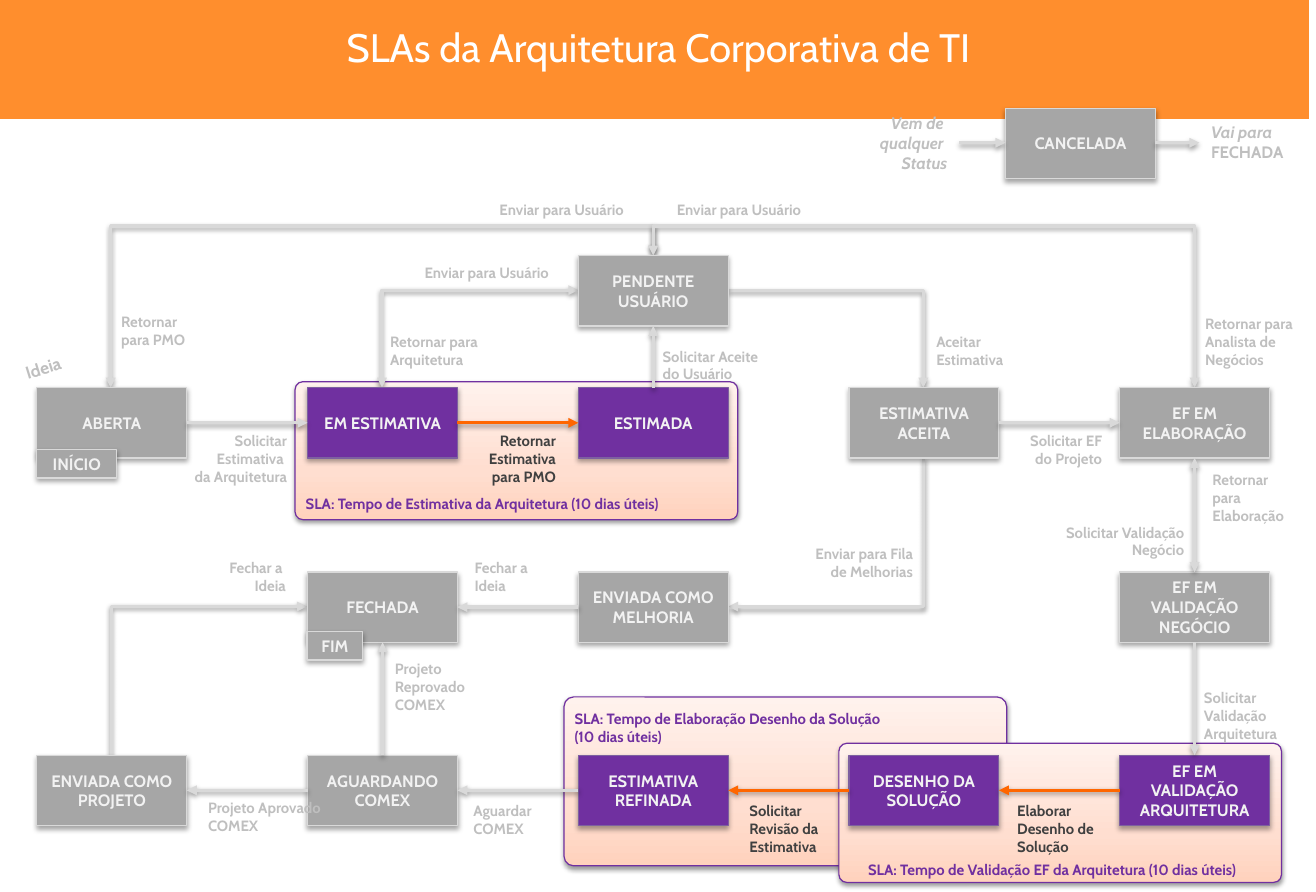
from lxml.etree import SubElement
from pptx import Presentation
from pptx.dml.color import RGBColor
from pptx.enum.shapes import MSO_CONNECTOR, MSO_SHAPE
from pptx.enum.text import MSO_ANCHOR, MSO_AUTO_SIZE, PP_ALIGN
from pptx.oxml.ns import qn
from pptx.util import Inches, Pt

COLORS = {
    "band": "FF8E2D", "white": "FFFFFF", "gray": "A6A6A6", "pale": "D9D9D9",
    "status": "F2F2F2", "label": "BFBFBF", "dark": "404040", "purple": "7030A0",
    "purple_edge": "7D60A0", "orange": "FF6600",
}
PANEL_STOPS = [(0, "FFD2BD"), (35, "FFDED0"), (100, "FFF2ED")]
ALIGNS = {"l": PP_ALIGN.LEFT, "c": PP_ALIGN.CENTER, "r": PP_ALIGN.RIGHT}
SITES = {"top": 0, "left": 1, "bottom": 2, "right": 3}
BENDS = {("up", "right"): (90, "HV"), ("up", "left"): (270, "V"), ("down", "left"): (90, "")}
BOX_WIDTH, BOX_HEIGHT = 1.26, 0.59
FIRST_COLUMN, COLUMN_STEP = 0.31, 2.275
ROWS = [2.15, 3.26, 4.81, 6.35]

STATUSES = [
    ("ABERTA", 0, 1, "gray"), ("EM ESTIMATIVA", 1, 1, "purple"),
    ("ESTIMADA", 2, 1, "purple"), ("ESTIMATIVA ACEITA", 3, 1, "gray"),
    ("EF EM ELABORAÇÃO", 4, 1, "gray"), ("PENDENTE USUÁRIO", 2, 0, "gray"),
    ("FECHADA", 1, 2, "gray"), ("ENVIADA COMO MELHORIA", 2, 2, "gray"),
    ("EF EM VALIDAÇÃO NEGÓCIO", 4, 2, "gray"), ("ENVIADA COMO PROJETO", 0, 3, "gray"),
    ("AGUARDANDO COMEX", 1, 3, "gray"), ("ESTIMATIVA REFINADA", 2, 3, "purple"),
    ("DESENHO DA SOLUÇÃO", 3, 3, "purple"), ("EF EM VALIDAÇÃO ARQUITETURA", 4, 3, "purple"),
]
LINKS = [
    ("ABERTA", "right", "EM ESTIMATIVA", "left", "pale", "tail"),
    ("EM ESTIMATIVA", "right", "ESTIMADA", "left", "orange", "tail"),
    ("ESTIMADA", "top", "PENDENTE USUÁRIO", "bottom", "pale", "tail"),
    ("ESTIMATIVA ACEITA", "right", "EF EM ELABORAÇÃO", "left", "pale", "tail"),
    ("EF EM VALIDAÇÃO NEGÓCIO", "top", "EF EM ELABORAÇÃO", "bottom", "pale", "head tail"),
    ("EF EM VALIDAÇÃO NEGÓCIO", "bottom", "EF EM VALIDAÇÃO ARQUITETURA", "top", "pale", "tail"),
    ("EF EM VALIDAÇÃO ARQUITETURA", "left", "DESENHO DA SOLUÇÃO", "right", "orange", "tail"),
    ("DESENHO DA SOLUÇÃO", "left", "ESTIMATIVA REFINADA", "right", "orange", "tail"),
    ("ESTIMATIVA REFINADA", "left", "AGUARDANDO COMEX", "right", "pale", "tail"),
    ("AGUARDANDO COMEX", "left", "ENVIADA COMO PROJETO", "right", "pale", "tail"),
    ("AGUARDANDO COMEX", "top", "FECHADA", "bottom", "pale", "tail"),
    ("ENVIADA COMO MELHORIA", "left", "FECHADA", "right", "pale", "tail"),
]
ELBOWS = [
    ((0.93, 3.26), (5.49, 2.15), "head tail", 1.224),
    ((10.04, 3.26), (5.49, 2.15), "head tail", 1.224),
    ((3.21, 3.26), (4.86, 2.44), "head tail", None),
    ((7.76, 3.26), (6.12, 2.44), "head", None),
    ((7.76, 3.85), (6.12, 5.1), "tail", None),
    ((0.94, 6.35), (2.58, 5.1), "tail", None),
]
SLAS = [
    ((4.74, 5.86, 3.72, 1.42), (4.73, 5.92, 3.68, 0.4), "l",
     "SLA: Tempo de Elaboração Desenho da Solução\n(10 dias úteis)"),
    ((7.05, 6.25, 3.72, 1.17), (7, 7.19, 3.68, 0.24), "c",
     "SLA: Tempo de Validação EF da Arquitetura (10 dias úteis)"),
    ((2.48, 3.21, 3.72, 1.16), (2.47, 4.11, 3.68, 0.24), "l",
     "SLA: Tempo de Estimativa da Arquitetura (10 dias úteis)"),
]
TRANSITIONS = [
    ("Retornar\npara PMO", (0.92, 2.58, 0.75, 0.56), "l", "label"),
    ("Retornar para\nAnalista de\nNegócios", (10.03, 2.6, 1.1, 0.56), "l", "label"),
    ("Solicitar\nEstimativa \nda Arquitetura", (1.43, 3.58, 1.08, 0.56), "r", "label"),
    ("Retornar\nEstimativa\npara PMO", (3.96, 3.58, 0.81, 0.56), "r", "dark"),
    ("Solicitar EF do Projeto", (8.42, 3.58, 0.94, 0.4), "r", "label"),
    ("Solicitar Validação\nNegócio", (8.68, 4.35, 1.37, 0.4), "r", "label"),
    ("Solicitar Validação Arquitetura", (10.02, 5.74, 0.95, 0.56), "l", "label"),
    ("Projeto Aprovado COMEX", (1.65, 6.67, 1.22, 0.56), "l", "label"),
    ("Projeto\nReprovado\nCOMEX", (3.22, 5.5, 1.02, 0.56), "l", "label"),
    ("Enviar para Fila de Melhorias", (6.7, 4.53, 1.07, 0.56), "r", "label"),
    ("Fechar a\nIdeia", (3.89, 4.65, 1.42, 0.4), "l", "label"),
    ("Retornar para\nArquitetura", (3.18, 2.75, 1.05, 0.4), "l", "label"),
    ("Solicitar Aceite\ndo Usuário", (5.47, 2.87, 1.21, 0.4), "l", "label"),
    ("Aceitar Estimativa", (7.77, 2.75, 0.85, 0.4), "l", "label"),
    ("Fechar a \nIdeia", (1.08, 4.65, 1.42, 0.4), "r", "label"),
    ("Retornar\npara\nElaboração", (10.09, 3.91, 0.88, 0.56), "l", "label"),
    ("Aguardar\nCOMEX", (3.88, 6.69, 1.02, 0.4), "l", "label"),
    ("Elaborar\nDesenho de Solução", (8.45, 6.69, 0.95, 0.56), "l", "dark"),
    ("Solicitar\nRevisão da Estimativa", (6.2, 6.69, 0.95, 0.56), "l", "dark"),
    ("Enviar para Usuário", (3.66, 1.64, 1.68, 0.25), "r", "label"),
    ("Enviar para Usuário", (5.15, 1.64, 1.68, 0.25), "r", "label"),
    ("Enviar para Usuário", (3.03, 2.17, 1.68, 0.25), "r", "label"),
]


def rgb(name):
    return RGBColor.from_string(COLORS[name])


def apply_format(target, formats):
    for attribute, value in formats.items():
        setattr(target, attribute, value)


def write(frame, text, align, color, size, bold=True, italic=False):
    frame.text = text
    for paragraph in frame.paragraphs:
        paragraph.alignment = ALIGNS[align]
        for run in paragraph.runs:
            apply_format(run.font, {"name": "Cabin", "size": Pt(size), "bold": bold, "italic": italic})
            run.font.color.rgb = rgb(color)


def add_label(slide, text, at, align="l", color="label", size=9, wrap=True, **style):
    label = slide.shapes.add_textbox(*map(Inches, at))
    apply_format(label.text_frame, {"word_wrap": wrap, "auto_size": MSO_AUTO_SIZE.SHAPE_TO_FIT_TEXT})
    write(label.text_frame, text, align, color, size, **style)
    return label


def add_shadow(part, opacity, distance):
    effects = SubElement(part._element.spPr, qn("a:effectLst"))
    shadow = SubElement(effects, qn("a:outerShdw"), blurRad=str(Pt(3.1)), dist=str(Pt(distance)),
                        dir="5400000", rotWithShape="0")
    black = SubElement(shadow, qn("a:srgbClr"), val="000000")
    SubElement(black, qn("a:alpha"), val=str(opacity * 1000))


def set_line(part, color, width):
    part.line.color.rgb = rgb(color)
    part.line.width = Pt(width)


def add_band(slide):
    curves = [[(11.06, 0.57), (9.36, 0.76), (7.48, 0.82), (5.43, 0.82)],
              [(5.43, 0.82), (3.38, 0.82), (1.5, 0.74), (0, 0.59)]]
    points = [(11.06, 0)]
    for curve in curves:
        for t in [step / 24 for step in range(25)]:
            weights = [(1 - t) ** 3, 3 * t * (1 - t) ** 2, 3 * t ** 2 * (1 - t), t ** 3]
            points.append(tuple(sum(w * p[axis] for w, p in zip(weights, curve)) for axis in (0, 1)))
    outline = slide.shapes.build_freeform(0, 0, scale=Inches(1))
    outline.add_line_segments(points, close=True)
    band = outline.convert_to_shape()
    band.shadow.inherit = False
    band.fill.solid()
    band.fill.fore_color.rgb = rgb("band")
    band.line.fill.background()


def add_panel(slide, at):
    panel = slide.shapes.add_shape(MSO_SHAPE.ROUNDED_RECTANGLE, *map(Inches, at))
    panel.adjustments[0] = 0.057
    panel.fill.gradient()
    panel.fill.gradient_angle = 90
    stops = panel._element.spPr.find(".//" + qn("a:gsLst"))
    for stop in list(stops):
        stops.remove(stop)
    for position, color in PANEL_STOPS:
        stop = SubElement(stops, qn("a:gs"), pos=str(position * 1000))
        SubElement(stop, qn("a:srgbClr"), val=color)
    set_line(panel, "purple", 0.75)
    add_shadow(panel, 38, 1.6)


def add_status(slide, text, left, top, width=BOX_WIDTH, height=BOX_HEIGHT, fill="gray"):
    status = slide.shapes.add_shape(MSO_SHAPE.FLOWCHART_PROCESS, *map(Inches, (left, top, width, height)))
    status.fill.solid()
    status.fill.fore_color.rgb = rgb(fill)
    set_line(status, "purple_edge" if fill == "purple" else "pale", 0.75)
    add_shadow(status, 35, 1.8)
    apply_format(status.text_frame, {"word_wrap": True, "vertical_anchor": MSO_ANCHOR.MIDDLE})
    write(status.text_frame, text, "c", "status", 10)
    return status


def add_arrow(slide, kind, start, end, color="pale", ends="tail"):
    arrow = slide.shapes.add_connector(kind, *map(Inches, (*start, *end)))
    set_line(arrow, color, 2)
    for tip in ends.split():
        SubElement(arrow.line._get_or_add_ln(), qn(f"a:{tip}End"), type="triangle")
    add_shadow(arrow, 38, 1.6)
    return arrow


def add_elbow(slide, start, end, ends, bend):
    (x1, y1), (x2, y2) = start, end
    run, rise = abs(x2 - x1), abs(y2 - y1)
    left, top = (x1 + x2 - rise) / 2, (y1 + y2 - run) / 2
    elbow = add_arrow(slide, MSO_CONNECTOR.ELBOW, (left, top), (left + rise, top + run), ends=ends)
    rotation, flips = BENDS["up" if y2 < y1 else "down", "right" if x2 > x1 else "left"]
    frame = elbow._element.spPr.find(qn("a:xfrm"))
    frame.set("rot", str(rotation * 60000))
    for flip in flips:
        frame.set(f"flip{flip}", "1")
    geometry = elbow._element.spPr.find(qn("a:prstGeom"))
    if bend is None:
        geometry.set("prst", "bentConnector2")
    else:
        SubElement(geometry.find(qn("a:avLst")), qn("a:gd"), name="adj1", fmla=f"val {round(bend * 100000)}")


def main():
    deck = Presentation()
    apply_format(deck, {"slide_width": Inches(11.06), "slide_height": Inches(7.5)})
    slide = deck.slides.add_slide(deck.slide_layouts[6])

    for panel_at, caption_at, align, caption in SLAS:
        add_panel(slide, panel_at)
        add_label(slide, caption, caption_at, align, "purple")
    add_band(slide)
    add_label(slide, "SLAs da Arquitetura Corporativa de TI", (2.55, 0.14, 5.97, 0.5), "c", "white", 24, bold=False)

    for elbow in ELBOWS:
        add_elbow(slide, *elbow)
    statuses = {name: add_status(slide, name, FIRST_COLUMN + COLUMN_STEP * column, ROWS[row], fill=fill)
                for name, column, row, fill in STATUSES}
    for source, source_side, target, target_side, color, ends in LINKS:
        link = add_arrow(slide, MSO_CONNECTOR.STRAIGHT, (0, 0), (0, 0), color, ends)
        link.begin_connect(statuses[source], SITES[source_side])
        link.end_connect(statuses[target], SITES[target_side])
    add_status(slide, "INÍCIO", 0.31, 3.78, 0.67, 0.24)
    add_status(slide, "FIM", 2.58, 5.31, 0.47, 0.24)

    add_status(slide, "CANCELADA", 8.45, 0.91)
    for start, end in [(8.06, 8.45), (9.71, 10.08)]:
        add_arrow(slide, MSO_CONNECTOR.STRAIGHT, (start, 1.2), (end, 1.2))
    add_label(slide, "Vem de \nqualquer \nStatus", (7.23, 0.9, 0.83, 0.61), "r", size=10, wrap=False, italic=True)
    closing = add_label(slide, "Vai para\nFECHADA", (10.08, 0.98, 0.85, 0.44), size=10, wrap=False, italic=True)
    closing.text_frame.paragraphs[1].runs[0].font.italic = False

    for text, at, align, color in TRANSITIONS:
        add_label(slide, text, at, align, color)
    add_label(slide, "Ideia", (0.11, 2.92, 0.74, 0.29), size=10.5).rotation = 342.8

    deck.save("out.pptx")


if __name__ == "__main__":
    main()
